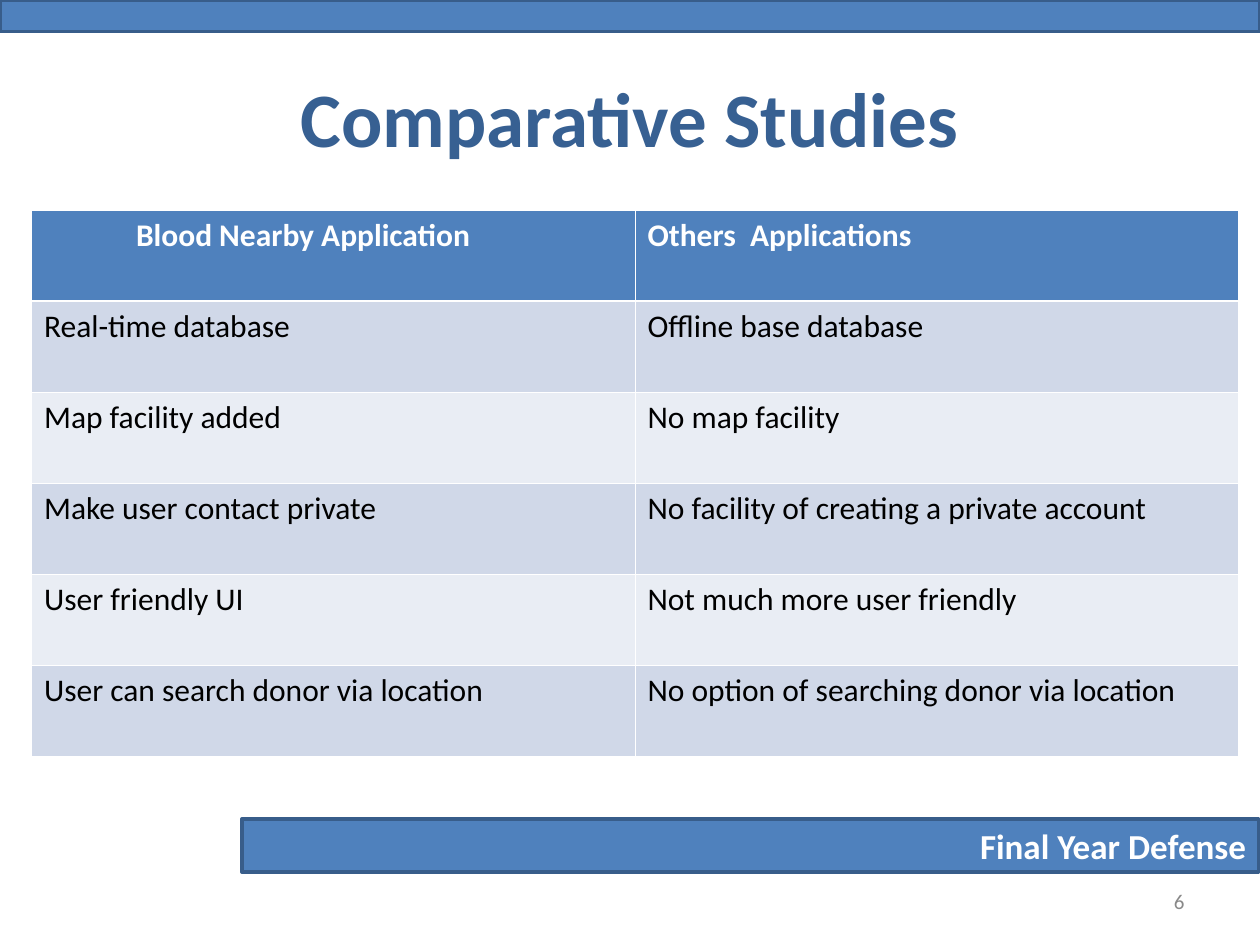
from dataclasses import dataclass

from lxml import etree
from pptx import Presentation
from pptx.dml.color import RGBColor
from pptx.enum.shapes import MSO_SHAPE
from pptx.enum.text import MSO_ANCHOR, PP_ALIGN
from pptx.oxml.ns import qn
from pptx.util import Inches, Pt

RECTANGLE = MSO_SHAPE.RECTANGLE
MIDDLE = MSO_ANCHOR.MIDDLE
LEFT, CENTER, RIGHT = PP_ALIGN.LEFT, PP_ALIGN.CENTER, PP_ALIGN.RIGHT
TITLE_ONLY = 5

FONT = "Calibri"
BLUE, EDGE, NAVY = "4F81BD", "385D8A", "376092"
WHITE, BLACK, GRAY = "FFFFFF", "000000", "898989"
BANDS = ("D0D8E8", "E9EDF4")
THIN, THICK = 0.45, 1.47


@dataclass(frozen=True)
class Area:
    left: float
    top: float
    width: float
    height: float

    def lengths(self) -> tuple:
        return tuple(map(Inches, (self.left, self.top, self.width, self.height)))


@dataclass(frozen=True)
class Style:
    size: float
    color: str
    bold: bool = False
    align: PP_ALIGN = LEFT


TITLE_STYLE = Style(44, NAVY, True, CENTER)
FOOTER_STYLE = Style(20, WHITE, True, RIGHT)
NUMBER_STYLE = Style(12, GRAY, align=RIGHT)
HEADER_STYLE = Style(18, WHITE, True)
BODY_STYLE = Style(18, BLACK)

TOP_BAR = Area(0, 0, 10, 0.25)
FOOTER_BAR = Area(1.92, 6.5, 8.07, 0.42)
TITLE_AREA = Area(0.5, 0.3, 9, 1.25)
TABLE_AREA = Area(0.25, 1.67, 9.58, 4.33)
NUMBER_AREA = Area(7.17, 6.95, 2.33, 0.4)
HEADER_INDENT = 0.83

COMPARISON = (
    ("Blood Nearby Application", "Others  Applications"),
    ("Real-time database", "Offline base database"),
    ("Map facility added", "No map facility"),
    ("Make user contact private", "No facility of creating a private account"),
    ("User friendly UI", "Not much more user friendly"),
    ("User can search donor via location", "No option of searching donor via location"),
)


def rgb(color: str) -> RGBColor:
    return RGBColor.from_string(color)


def write(frame, text: str, style: Style) -> None:
    frame.word_wrap = True
    para = frame.paragraphs[0]
    para.alignment = style.align
    span = para.add_run()
    span.text = text
    formats = {"name": FONT, "size": Pt(style.size), "bold": style.bold}
    for name, value in formats.items():
        setattr(span.font, name, value)
    span.font.color.rgb = rgb(style.color)


def add_bar(slide, area: Area):
    bar = slide.shapes.add_shape(RECTANGLE, *area.lengths())
    bar.shadow.inherit = False
    bar.fill.solid()
    bar.fill.fore_color.rgb = rgb(BLUE)
    bar.line.color.rgb = rgb(EDGE)
    bar.line.width = Pt(2)
    return bar


def add_borders(cell, widths: dict) -> None:
    properties = cell._tc.get_or_add_tcPr()
    for side, width in widths.items():
        line = etree.SubElement(properties, qn(f"a:ln{side}"), w=str(Pt(width)))
        fill = etree.SubElement(line, qn("a:solidFill"))
        etree.SubElement(fill, qn("a:srgbClr"), val=WHITE)


def add_comparison(slide, area: Area, rows: tuple) -> None:
    table = slide.shapes.add_table(len(rows), len(rows[0]), *area.lengths()).table
    for row, texts in enumerate(rows):
        header = row == 0
        widths = {
            "L": THIN,
            "R": THIN,
            "T": THICK if row == 1 else THIN,
            "B": THICK if header else THIN,
        }
        for column, text in enumerate(texts):
            cell = table.cell(row, column)
            add_borders(cell, widths)
            cell.fill.solid()
            cell.fill.fore_color.rgb = rgb(BLUE if header else BANDS[(row - 1) % 2])
            write(cell.text_frame, text, HEADER_STYLE if header else BODY_STYLE)
    table.cell(0, 0).margin_left = Inches(HEADER_INDENT)


def main() -> None:
    deck = Presentation()
    deck.slide_width, deck.slide_height = Inches(10), Inches(7.5)
    slide = deck.slides.add_slide(deck.slide_layouts[TITLE_ONLY])

    # Bars at the top and the foot
    footer = add_bar(slide, FOOTER_BAR)
    footer.text_frame.vertical_anchor = MIDDLE
    write(footer.text_frame, "Final Year Defense", FOOTER_STYLE)
    add_bar(slide, TOP_BAR)

    # Title
    title = slide.shapes.title
    title.left, title.top, title.width, title.height = TITLE_AREA.lengths()
    title.text_frame.vertical_anchor = MIDDLE
    write(title.text_frame, "Comparative Studies", TITLE_STYLE)

    # Comparison table
    add_comparison(slide, TABLE_AREA, COMPARISON)

    # Slide number
    number = slide.shapes.add_textbox(*NUMBER_AREA.lengths())
    number.text_frame.vertical_anchor = MIDDLE
    write(number.text_frame, "6", NUMBER_STYLE)

    deck.save("out.pptx")


if __name__ == "__main__":
    main()
